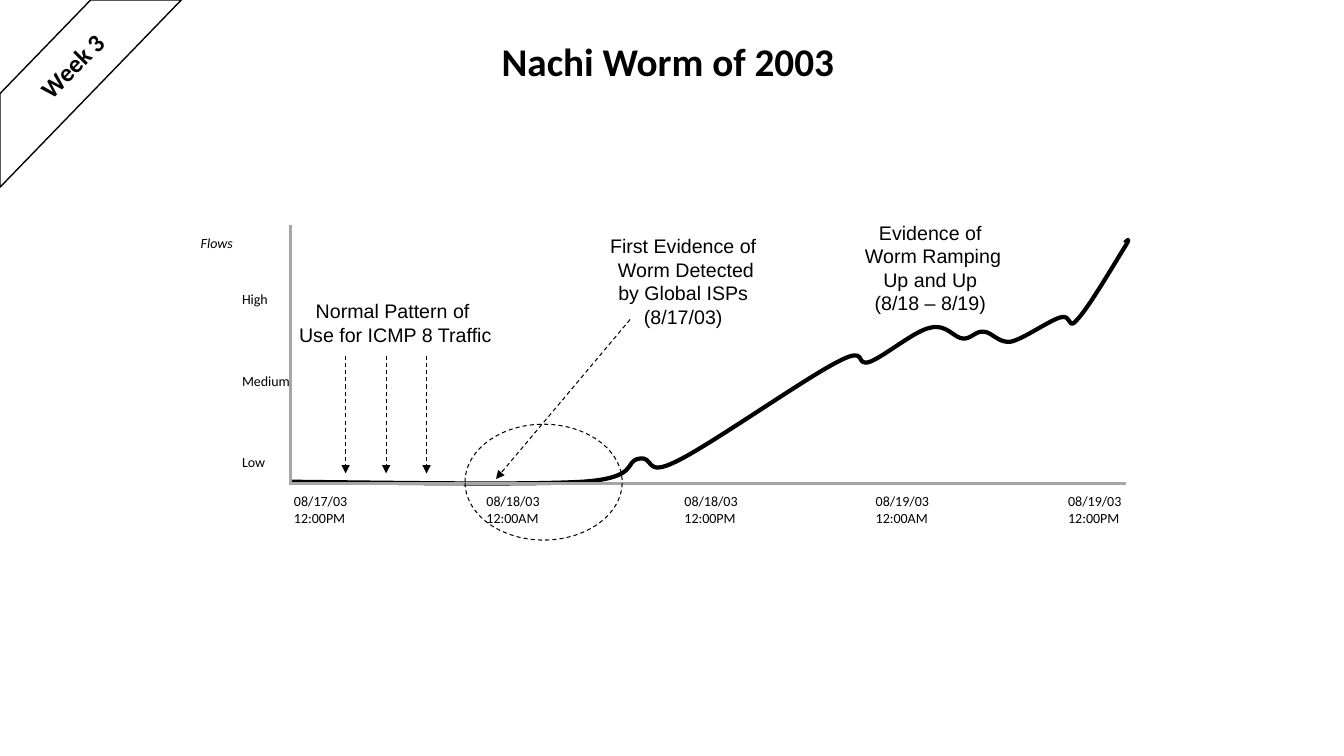
"""Build the slide that charts ICMP flows during the Nachi worm of 2003."""
from lxml.etree import SubElement
from pptx import Presentation
from pptx.dml.color import RGBColor
from pptx.enum.dml import MSO_LINE_DASH_STYLE as Dash
from pptx.enum.shapes import MSO_CONNECTOR as Connector, MSO_SHAPE as Preset
from pptx.enum.text import MSO_ANCHOR as Anchor, MSO_AUTO_SIZE as AutoSize, PP_ALIGN as Align
from pptx.oxml.ns import qn
from pptx.util import Cm, Pt

COLORS = {"ink": "000000", "axis": "A6A6A6", "paper": "FFFFFF"}

deck = Presentation()
deck.slide_width, deck.slide_height = Cm(33.87), Cm(19.05)
page = deck.slides.add_slide(deck.slide_layouts[5])


def write(left, top, width, height, text, size, font="Calibri", align=Align.LEFT):
    box = page.shapes.add_textbox(Cm(left), Cm(top), Cm(width), Cm(height))
    frame = box.text_frame
    frame.text = text
    frame.word_wrap = False
    frame.auto_size = AutoSize.SHAPE_TO_FIT_TEXT
    for para in frame.paragraphs:
        para.alignment = align
        for span in para.runs:
            span.font.name = font
            span.font.size = Pt(size)
            span.font.color.rgb = RGBColor.from_string(COLORS["ink"])
    return box


def draw_line(start, end, color, width, arrow=False):
    connector = page.shapes.add_connector(Connector.STRAIGHT, *map(Cm, start + end))
    connector.line.color.rgb = RGBColor.from_string(COLORS[color])
    connector.line.width = Pt(width)
    if arrow:
        connector.line.dash_style = Dash.DASH
        outline = connector.line._get_or_add_ln()
        SubElement(outline, qn("a:tailEnd"), type="triangle")
    SubElement(connector._element.spPr, qn("a:effectLst"))


title = page.shapes.title
title.left, title.top, title.width, title.height = Cm(5.51), Cm(0.03), Cm(22.86), Cm(3.18)
title.text_frame.text = "Nachi Worm of 2003 "
title.text_frame.vertical_anchor = Anchor.MIDDLE
heading = title.text_frame.paragraphs[0]
heading.alignment = Align.CENTER
heading.line_spacing = 0.9
heading_span = heading.runs[0]
heading_span.font.name = "Calibri"
heading_span.font.size = Pt(28)
heading_span.font.bold = True
heading_span.font.color.rgb = RGBColor.from_string(COLORS["ink"])

notes = [
    (7.26, 7.42, 5.41, 1.45, "Normal Pattern of \nUse for ICMP 8 Traffic"),
    (14.97, 5.77, 4.5, 2.64, " First Evidence of \n Worm Detected\nby Global ISPs\n(8/17/03)"),
    (21.39, 5.43, 4.11, 2.64, " Evidence of \n Worm Ramping\nUp and Up\n(8/18 – 8/19)"),
]
for note in notes:
    write(*note, size=14, font="Arial", align=Align.CENTER)

for index in range(3):
    arrow_x = 8.71 + 1.02 * index
    draw_line((arrow_x, 8.96), (arrow_x, 11.93), "ink", 0.75, arrow=True)
draw_line((15.88, 8.05), (12.5, 12.07), "ink", 0.75, arrow=True)

flow_start = (7.34, 12.14)
flow_curves = [
    ((10.26, 12.17), (13.21, 12.22), (14.68, 12.14)),
    ((16.13, 12.04), (15.72, 11.63), (16.1, 11.56)),
    ((16.51, 11.48), (16.21, 12.04), (17.04, 11.63)),
    ((17.88, 11.23), (20.29, 9.53), (21.11, 9.12)),
    ((21.92, 8.69), (21.51, 9.25), (21.92, 9.12)),
    ((22.3, 8.97), (23.06, 8.33), (23.44, 8.26)),
    ((23.85, 8.15), (24.03, 8.51), (24.26, 8.53)),
    ((24.46, 8.56), (24.59, 8.33), (24.79, 8.36)),
    ((24.99, 8.36), (25.17, 8.66), (25.48, 8.61)),
    ((25.81, 8.53), (26.44, 8.08), (26.72, 8)),
    ((27.03, 7.9), (26.9, 8.36), (27.15, 8.05)),
    ((27.43, 7.77), (28.14, 6.55), (28.35, 6.22)),
    ((28.55, 5.89), (28.35, 6.12), (28.35, 6.12)),
]
flow_points = [tuple(map(Cm, point)) for curve in flow_curves for point in curve]
builder = page.shapes.build_freeform(*map(Cm, flow_start))
builder.add_line_segments(flow_points, close=False)
flow = builder.convert_to_shape()
segments = list(flow._element.iter(qn("a:lnTo")))
for first, second, end in zip(segments[::3], segments[1::3], segments[2::3]):
    first.tag = qn("a:cubicBezTo")
    for segment in (second, end):
        first.append(segment[0])
        segment.getparent().remove(segment)
flow.shadow.inherit = False
flow.fill.background()
flow.line.color.rgb = RGBColor.from_string(COLORS["ink"])
flow.line.width = Pt(3)

draw_line((7.34, 12.19), (28.37, 12.19), "axis", 2)
draw_line((7.32, 12.22), (7.32, 5.66), "axis", 2)

axis_title = write(4.81, 5.79, 1.42, 0.69, "Flows", 10)
axis_title.text_frame.paragraphs[0].runs[0].font.italic = True

dates = [
    (7.16, "08/17/03\n12:00PM"),
    (12.01, "08/18/03\n12:00AM"),
    (17, "08/18/03\n12:00PM"),
    (21.82, "08/19/03\n12:00AM"),
    (26.67, "08/19/03\n12:00PM"),
]
for left, date in dates:
    write(left, 12.29, 1.89, 1.12, date, 10)

for index, (level, width) in enumerate([("High", 1.22), ("Medium", 1.73), ("Low", 1.17)]):
    write(5.85, 7.19 + 2.06 * index, width, 0.69, level, 10)

outbreak = page.shapes.add_shape(Preset.OVAL, Cm(11.72), Cm(10.69), Cm(3.96), Cm(2.92))
outbreak.fill.background()
outbreak.line.width = Pt(0.75)
outbreak.line.dash_style = Dash.DASH

ribbon = page.shapes.add_shape(Preset.DIAGONAL_STRIPE, 0, 0, Cm(4.57), Cm(4.72))
ribbon.fill.solid()
ribbon.fill.fore_color.rgb = RGBColor.from_string(COLORS["paper"])
ribbon.line.width = Pt(1)

for shape in (outbreak, ribbon):
    shape.shadow.inherit = False
    shape.line.color.rgb = RGBColor.from_string(COLORS["ink"])

week = write(0.58, 1.14, 2.49, 1.02, "Week 3", 18)
week.rotation = 314.8
week.text_frame.paragraphs[0].runs[0].font.bold = True

deck.save("out.pptx")
